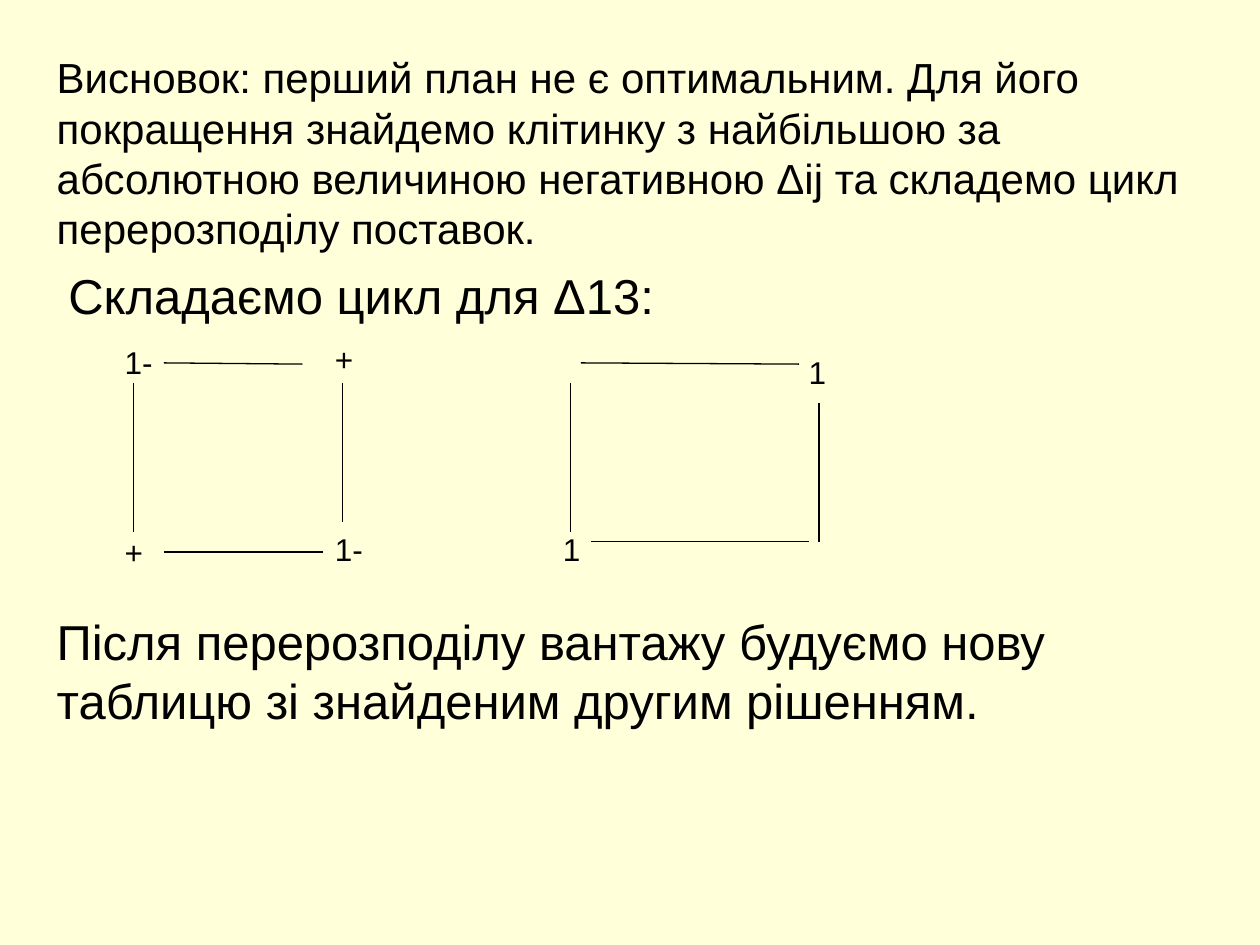
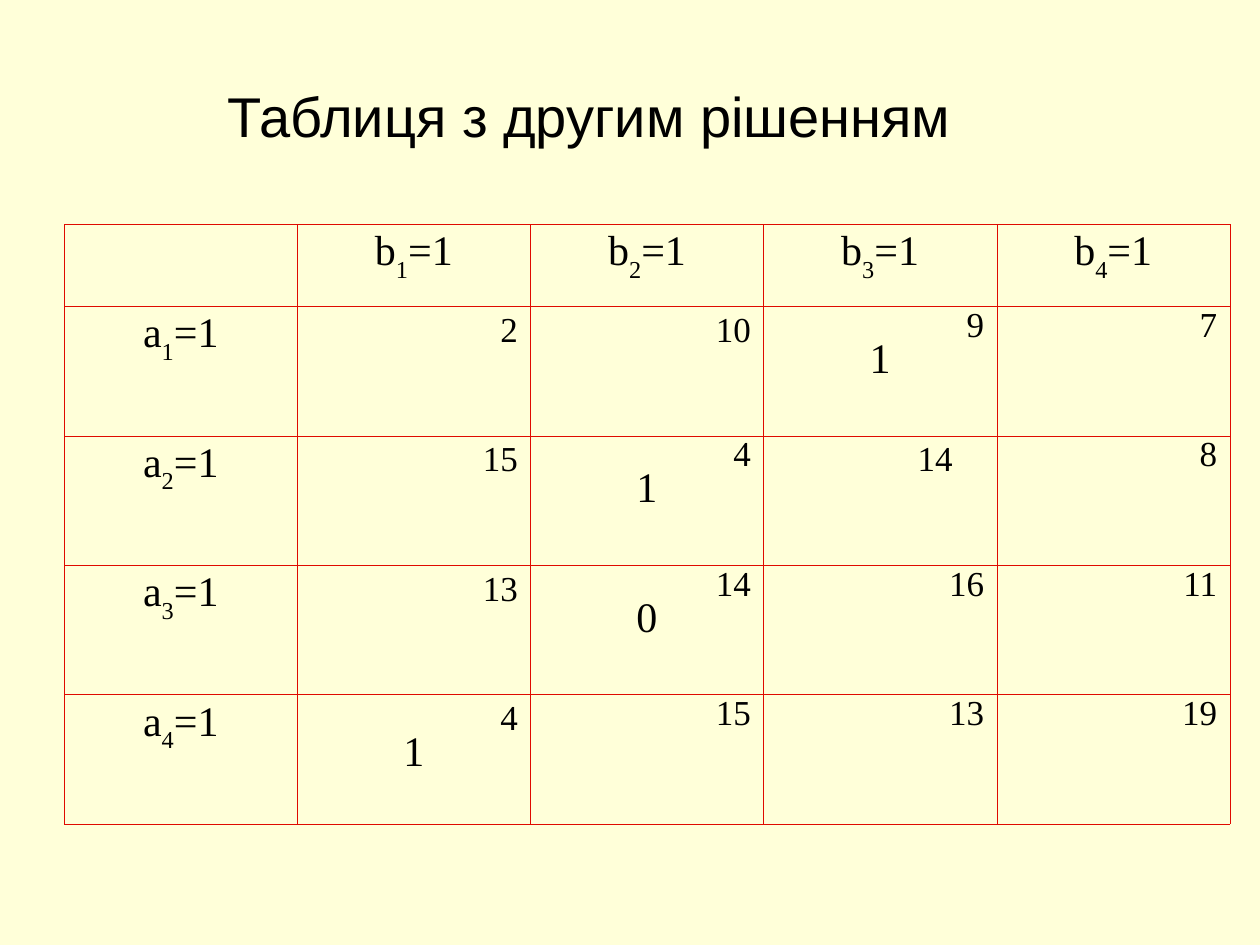
"""Build two slides on the second plan of a transport problem."""
from dataclasses import dataclass

from lxml.etree import SubElement as Sub
from pptx import Presentation
from pptx.dml.color import RGBColor as Rgb
from pptx.enum.shapes import MSO_CONNECTOR as Link
from pptx.enum.text import MSO_ANCHOR as Anchor, MSO_AUTO_SIZE as Fit, PP_ALIGN as Align
from pptx.oxml.ns import qn
from pptx.util import Inches, Pt


@dataclass(frozen=True)
class Theme:
    paper: str = "FFFFD9"
    ink: str = "000000"
    rule: str = "DF0A00"
    sans: str = "Arial"
    serif: str = "Times New Roman"
    head: int = 32
    lead: int = 28
    text: int = 24
    cost: int = 20
    mark: int = 18
    line: float = 0.75
    hair: float = 0.06


LOOK = Theme()


def grid(*cells):
    return [Inches(cell / 10) for cell in cells]


def write(par, text, size=LOOK.text, font=LOOK.sans, align=Align.LEFT,
          before=0, lines=1.0, inset=0, sub=False):
    par.alignment = align
    par.space_before = Pt(before)
    par.line_spacing = lines
    props = par._p.get_or_add_pPr()
    props.set("marL", "0")
    props.set("indent", str(Pt(inset)))
    if props.find(qn("a:buNone")) is None:
        Sub(props, qn("a:buNone"))
    run = par.add_run()
    run.text = text
    run.font.size = Pt(size)
    run.font.name = font
    run.font.color.rgb = Rgb.from_string(LOOK.ink)
    if sub:
        run._r.get_or_add_rPr().set("baseline", "-30000")


class Deck:
    def __init__(self):
        self.prs = Presentation()
        self.prs.slide_width, self.prs.slide_height = grid(100, 75)
        fill = self.prs.slide_master.background.fill
        fill.solid()
        fill.fore_color.rgb = Rgb.from_string(LOOK.paper)
        self.slide = None

    def start(self, layout):
        self.slide = self.prs.slides.add_slide(self.prs.slide_layouts[layout])

    def place(self, shape, box):
        shape.left, shape.top, shape.width, shape.height = grid(*box)
        shape.text_frame.auto_size = Fit.NONE
        return shape.text_frame

    def fill(self, frame, items):
        for i, (text, form) in enumerate(items):
            par = frame.add_paragraph() if i else frame.paragraphs[0]
            write(par, text, **form)

    def title(self, text, box):
        frame = self.place(self.slide.shapes.title, box)
        frame.vertical_anchor = Anchor.MIDDLE
        self.fill(frame, [(text, dict(size=LOOK.head, align=Align.CENTER))])

    def body(self, items, box):
        title = self.slide.shapes.title
        title._element.getparent().remove(title._element)
        frame = self.place(self.slide.placeholders[1], box)
        frame.vertical_anchor = Anchor.TOP
        self.fill(frame, items)

    def marks(self, texts, box, gap=0):
        frame = self.slide.shapes.add_textbox(*grid(*box)).text_frame
        frame.word_wrap = False
        self.fill(frame, [(text, dict(size=LOOK.mark, before=gap * i))
                          for i, text in enumerate(texts)])

    def line(self, *ends):
        link = self.slide.shapes.add_connector(Link.STRAIGHT, *grid(*ends))
        link.line.color.rgb = Rgb.from_string(LOOK.ink)
        link.line.width = Pt(LOOK.line)
        Sub(link._element.spPr, qn("a:effectLst"))

    def table(self, box, rows, cols, first):
        table = self.slide.shapes.add_table(rows, cols, *grid(*box)).table
        table.first_row = table.horz_banding = False
        for col in table.columns:
            col.width = grid(box[2] / cols)[0]
        for i, row in enumerate(table.rows):
            row.height = grid((box[3] - first) / (rows - 1) if i else first)[0]
        for cell in table.iter_cells():
            self.edge(cell)
        return table

    def edge(self, cell):
        props = cell._tc.get_or_add_tcPr()
        for side in ("lnL", "lnR", "lnT", "lnB"):
            line = Sub(props, qn(f"a:{side}"), w=str(Pt(LOOK.hair)))
            Sub(Sub(line, qn("a:solidFill")), qn("a:srgbClr"), val=LOOK.rule)
        cell.fill.background()


def label(cell, name, index):
    par = cell.text_frame.paragraphs[0]
    for text, sub in ((name, False), (str(index), True), ("=1", False)):
        write(par, text, font=LOOK.serif, align=Align.CENTER, lines=0.8, sub=sub)


def cycle(deck):
    deck.start(1)
    deck.body([
        ("Висновок: перший план не є оптимальним. Для його покращення знайдемо "
         "клітинку з найбільшою за абсолютною величиною негативною Δij та "
         "складемо цикл перерозподілу поставок.", dict(before=6)),
        ("Складаємо цикл для Δ13:", dict(size=LOOK.lead, before=7, inset=6.7)),
        ("Після перерозподілу вантажу будуємо нову таблицю зі знайденим другим "
         "рішенням.", dict(size=LOOK.lead, before=164)),
    ], (3.5, 3.6, 91.5, 63.4))
    deck.marks(("1-", "+"), (8.9, 26.7, 5.6, 19), gap=87)
    deck.marks(("+", "1-"), (25.6, 26.5, 4.2, 19), gap=87)
    deck.marks(("1",), (43.7, 41.6, 3.4, 4))
    deck.marks(("1",), (63.2, 27.5, 3.4, 4))
    for ends in ((13, 28.8, 24, 28.9), (27.2, 30.4, 27.2, 41.4),
                 (13, 43.8, 25.6, 43.8), (10.6, 30.4, 10.6, 42.2),
                 (46.1, 28.8, 63.4, 28.9), (45.3, 30.4, 45.3, 42.2),
                 (46.9, 43, 64.2, 43), (65, 32, 65, 43)):
        deck.line(*ends)


def plan(deck):
    costs = ((2, 10, 9, 7), (15, 4, 14, 8), (13, 14, 16, 11), (4, 15, 13, 19))
    loads = {(1, 3): 1, (2, 2): 1, (3, 2): 0, (4, 1): 1}
    low = {(1, 1), (1, 2), (2, 1), (2, 3), (3, 1), (4, 1)}
    deck.start(5)
    deck.title("Таблиця з другим рішенням", (4.3, 2.1, 85, 14))
    table = deck.table((5.1, 17.8, 92.5, 47.6), 5, 5, 6.5)
    for i, row in enumerate(costs, 1):
        label(table.cell(0, i), "b", i)
        label(table.cell(i, 0), "a", i)
        for j, cost in enumerate(row, 1):
            cell = table.cell(i, j)
            items = [(str(cost), dict(size=LOOK.cost, font=LOOK.serif,
                                      align=Align.RIGHT, lines=0.8))]
            if (i, j) in loads:
                items.append((str(loads[i, j]), dict(font=LOOK.serif,
                                                     align=Align.CENTER, lines=0.8)))
            if (i, j) in low:
                cell.margin_top = Inches(0.09)
            if (i, j) == (2, 3):
                cell.margin_right = Inches(0.35)
            deck.fill(cell.text_frame, items)


def main():
    deck = Deck()
    cycle(deck)
    plan(deck)
    deck.prs.save("out.pptx")


if __name__ == "__main__":
    main()
